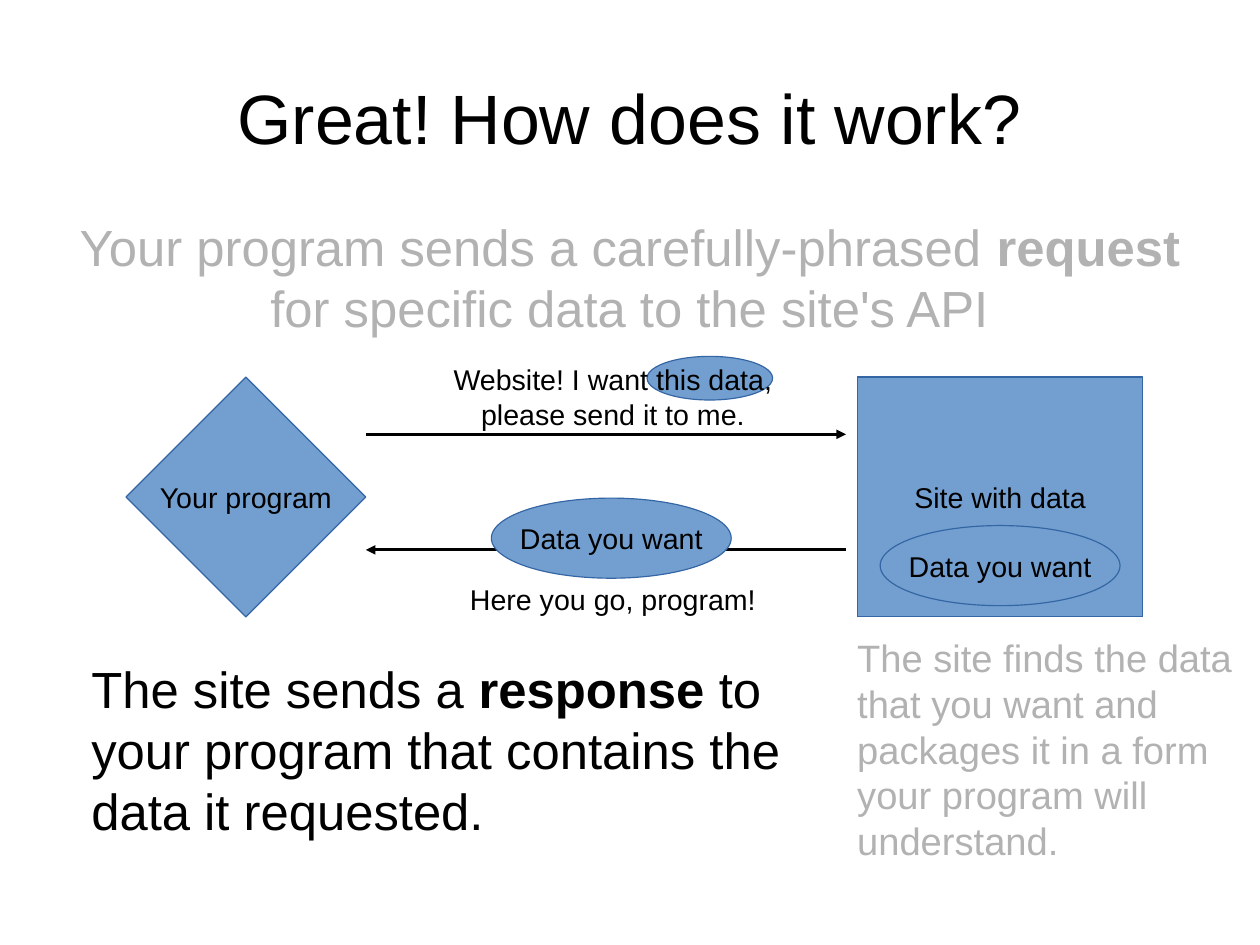
from lxml.etree import SubElement
from pptx import Presentation
from pptx.dml.color import RGBColor
from pptx.enum.shapes import MSO_CONNECTOR, MSO_SHAPE as Preset
from pptx.enum.text import MSO_ANCHOR as Anchor, PP_ALIGN as Align
from pptx.oxml.ns import qn
from pptx.util import Cm, Pt

BLACK, GREY, BLUE, EDGE = "000000", "B2B2B2", "729FCF", "3465A4"


def color(hex_value):
    return RGBColor.from_string(hex_value)


def write(frame, text, size=18, ink=BLACK, align=Align.CENTER,
          anchor=Anchor.TOP, wrap=True, inset=(0.25, 0.13)):
    """Fill a text frame; words between asterisks become bold."""
    frame.word_wrap = wrap
    frame.vertical_anchor = anchor
    frame.margin_left = frame.margin_right = Cm(inset[0])
    frame.margin_top = frame.margin_bottom = Cm(inset[1])
    paragraph = frame.paragraphs[0]
    paragraph.alignment = align
    for i, part in enumerate(text.split("*")):
        run = paragraph.add_run()
        run.text = part
        run.font.name = "Arial"
        run.font.size = Pt(size)
        run.font.bold = i % 2 == 1
        run.font.color.rgb = color(ink)


deck = Presentation()
deck.slide_width, deck.slide_height = Cm(28), Cm(21)
slide = deck.slides.add_slide(deck.slide_layouts[6])

# Request and response arrows
program_side, site_side = 8.13, 18.8
for start, end, y in [(program_side, site_side, 9.65),
                      (site_side, program_side, 12.22)]:
    arrow = slide.shapes.add_connector(
        MSO_CONNECTOR.STRAIGHT, Cm(start), Cm(y), Cm(end), Cm(y))
    arrow.line.color.rgb = color(BLACK)
    arrow.line.width = Pt(0)
    SubElement(arrow.line._get_or_add_ln(), qn("a:tailEnd"), type="triangle")
    SubElement(arrow._element.spPr, qn("a:effectLst"))

# Program, site and the data that travels between them
for preset, label, left, top, width, height in [
    (Preset.DIAMOND, "Your program", 2.8, 8.38, 5.33, 5.33),
    (Preset.RECTANGLE, "Site with data", 19.05, 8.38, 6.35, 5.33),
    (Preset.OVAL, "Data you want", 19.56, 11.68, 5.33, 1.78),
    (Preset.OVAL, "Data you want", 10.92, 11.07, 5.33, 1.78),
    (Preset.OVAL, "", 14.38, 7.92, 2.79, 0.97),
]:
    node = slide.shapes.add_shape(preset, Cm(left), Cm(top), Cm(width), Cm(height))
    node.shadow.inherit = False
    node.fill.solid()
    node.fill.fore_color.rgb = color(BLUE)
    node.line.color.rgb = color(EDGE)
    node.line.width = Pt(0)
    if label:
        write(node.text_frame, label, anchor=Anchor.MIDDLE, wrap=False)

# Title, explanations and arrow captions
heading = dict(anchor=Anchor.MIDDLE, inset=(0, 0))
for text, left, top, width, height, look in [
    ("Great! How does it work?", 1.4, 0.84, 25.2, 3.51,
     dict(heading, size=44)),
    ("Your program sends a carefully-phrased *request* for specific data "
     "to the site's API", 1.4, 4.88, 25.2, 2.54,
     dict(heading, size=32, ink=GREY)),
    ("Website! I want this data, please send it to me.",
     9.3, 7.92, 8.64, 1.68, {}),
    ("Here you go, program!", 9.3, 12.8, 8.64, 0.97, {}),
    ("The site finds the data that you want and packages it in a form your "
     "program will understand.", 18.8, 13.97, 8.89, 5,
     dict(size=24, ink=GREY, align=Align.LEFT)),
    ("The site sends a *response* to your program that contains the data "
     "it requested.", 1.78, 14.48, 16.76, 4.04,
     dict(size=32, align=Align.LEFT)),
]:
    box = slide.shapes.add_textbox(Cm(left), Cm(top), Cm(width), Cm(height))
    write(box.text_frame, text, **look)

deck.save("out.pptx")
